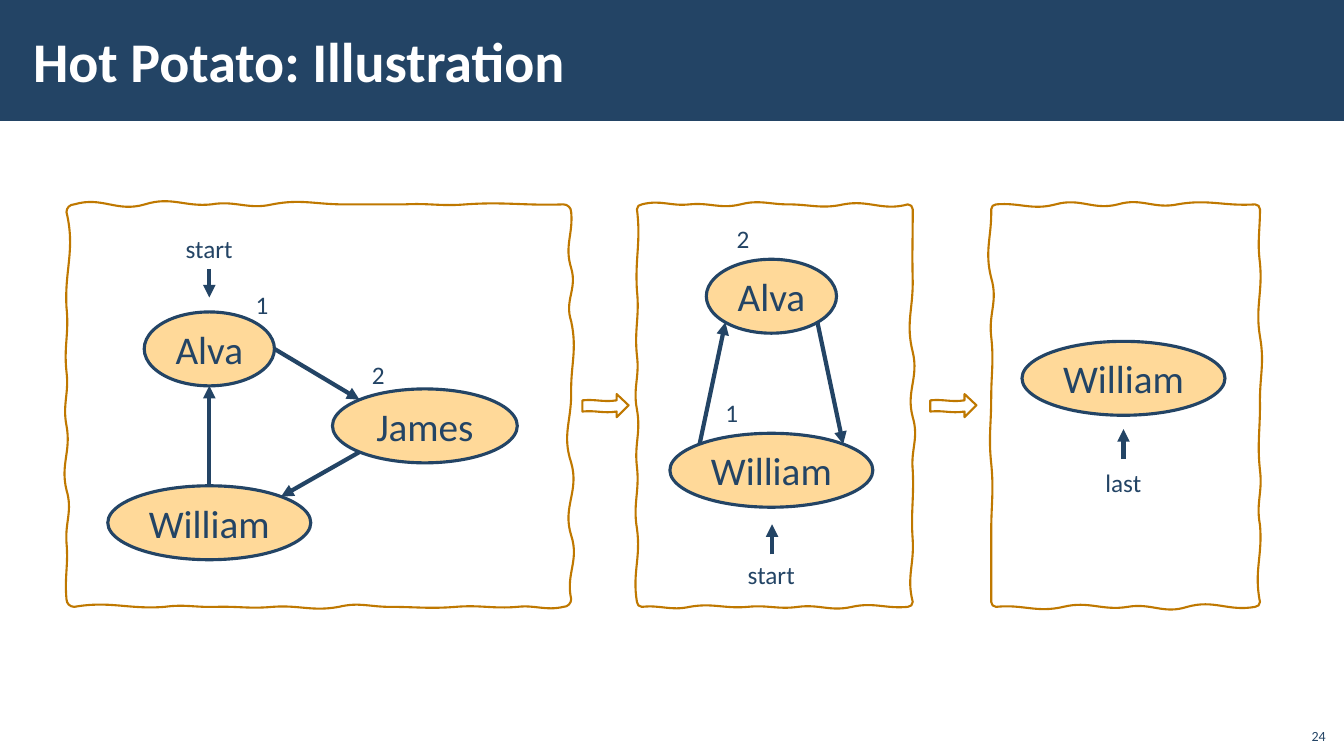
from dataclasses import dataclass
from math import cos, radians, sin

from lxml.etree import Element, SubElement
from pptx import Presentation
from pptx.dml.color import RGBColor
from pptx.enum.shapes import MSO_CONNECTOR, MSO_SHAPE
from pptx.enum.text import MSO_ANCHOR, MSO_AUTO_SIZE, PP_ALIGN
from pptx.oxml.ns import qn
from pptx.slide import Slide
from pptx.util import Pt

COLORS = {"navy": "234465", "sand": "FFD999", "ochre": "BF7800", "white": "FFFFFF"}
FONT = "Calibri"
NODE_HEIGHT = 52.8

Point = tuple[float, float]
Wave = tuple[float, float, float]  # where it ends, first bend, second bend
Segment = tuple[Point, ...]  # control points, if curved, and the end


@dataclass
class Node:
    name: str
    left: float
    top: float
    width: float

    def site(self, angle: float) -> Point:
        """Point on the ellipse, with the angle clockwise from the right."""
        a = radians(angle)
        return (self.left + self.width / 2 * (1 + cos(a)),
                self.top + NODE_HEIGHT / 2 * (1 + sin(a)))


@dataclass
class Label:
    text: str
    left: float
    top: float
    width: float


@dataclass
class Panel:
    left: float
    right: float
    corner: float
    top_waves: list[Wave]
    right_waves: list[Wave]
    bottom_waves: list[Wave]
    left_waves: list[Wave]
    top: float = 146
    bottom: float = 433.5


PANELS = [
    Panel(47.5, 408, 5.5,
          [(103.5, -6, 6), (151, -6, 2), (194.5, -3, 4), (245.5, -4, 0),
           (289, 0, 0), (332.5, -1, 1.5), (402.5, -2, 1)],
          [(191.5, 1.5, -5), (229.5, 4.5, -5), (281.5, 4.5, -0.5),
           (330.5, 0, -6.5), (382.5, 6, -6.5), (428, 6, -4)],
          [(369.5, 3, -1.5), (325.5, 1.5, -1.5), (278.5, 1.5, 0), (242, 0, -3.5),
           (194.5, 3.5, -1.5), (154, 1.5, -0.5), (117.5, 0.5, -2), (53, 2, -4.5)],
          [(387.5, -1.5, 1.5), (350, -1, 4.5), (304, -4.5, 3.5),
           (265.5, -3, 2), (219.5, -2, 2), (151.5, -1.5, 6.5)]),
    Panel(455, 652, 3.5,
          [(492.5, -3.5, 1.5), (529, -1.5, 3.5), (563, -3.5, 0),
           (602.5, 0, 3.5), (648.5, -3.5, 5)],
          [(201.5, 0, -0.5), (251.5, 0, -5), (298, 4.5, -5),
           (336, 4.5, -1.5), (386, 1, -1.5), (430, 1, -4.5)],
          [(608.5, 1.5, -3.5), (570, 3.5, -2), (534, 2, -1.5),
           (492.5, 1.5, -3), (458.5, 3, -1.5)],
          [(377.5, -3.5, 3), (333.5, -3, 2), (292.5, -2, 3),
           (254, -3, 2), (207.5, -2, 2), (149.5, -1.5, 3)]),
    Panel(708, 900, 3.5,
          [(754, -1.5, 4.5), (798.5, -5, 4.5), (841, -5, 3.5), (896.5, -4, 1.5)],
          [(188, 0, -2), (240.5, 2, -3.5), (289.5, 3.5, -0.5),
           (336, 0, -2), (375, 2, -3), (430, 2, -4.5)],
          [(848, 3.5, -5.5), (805.5, 5.5, -3), (759.5, 3, -4.5), (711.5, 4.5, -2)],
          [(380, 0, 0), (331, 0, 2), (284.5, -2, 0),
           (240.5, 0, 2), (198.5, -2, 5), (149.5, -5, 0.5)]),
]

ALVA = Node("Alva", 103, 222.8, 93)
JAMES = Node("James", 237.5, 277.8, 132)
WILLIAM = Node("William", 77, 347, 145)
ALVA_2 = Node("Alva", 504.5, 185.2, 93)
WILLIAM_2 = Node("William", 478.5, 309.5, 145)
WILLIAM_3 = Node("William", 730, 243.8, 145)
NODES = [ALVA, JAMES, WILLIAM, ALVA_2, WILLIAM_2, WILLIAM_3]

ARROWS = [
    (ALVA.site(0), JAMES.site(225)),
    (JAMES.site(135), WILLIAM.site(315)),
    (WILLIAM.site(270), ALVA.site(90)),
    (WILLIAM_2.site(225), ALVA_2.site(135)),
    (ALVA_2.site(45), WILLIAM_2.site(315)),
    ((149.5, 192), (149.5, 212.5)),
    ((551.5, 396), (551.5, 374.5)),
    ((802.5, 328), (802.5, 306.5)),
]

LABELS = [
    Label("start", 125.5, 163, 48), Label("1", 175.5, 203, 22), Label("2", 258.5, 253, 24),
    Label("start", 527, 396, 48), Label("2", 519, 156, 24), Label("1", 511, 280, 24),
    Label("last", 782.5, 330.5, 40),
]


def wavy_edge(start: Point, waves: list[Wave], vertical: bool) -> list[Segment]:
    def place(along: float, across: float) -> Point:
        return (across, along) if vertical else (along, across)

    along, across = place(*start)
    segments = []
    for end, bend1, bend2 in waves:
        span = end - along
        segments.append((place(along + 0.4 * span, across + bend1),
                         place(along + 0.6 * span, across + bend2), place(end, across)))
        along = end
    return segments


def round_corner(start: Point, corner: Point, end: Point) -> Segment:
    def toward(p: Point) -> Point:
        return (p[0] + 0.55 * (corner[0] - p[0]), p[1] + 0.55 * (corner[1] - p[1]))

    return toward(start), toward(end), end


def draw_outline(s: Slide, start: Point, segments: list[Segment]) -> None:
    """Draw a closed outline; segments with control points become Bezier curves."""
    builder = s.shapes.build_freeform(*map(Pt, start))
    builder.add_line_segments([tuple(map(Pt, seg[-1])) for seg in segments], close=True)
    sp = builder.convert_to_shape()
    for step, seg in zip(list(sp.element.iter(qn("a:lnTo"))), segments):
        if len(seg) == 1:
            continue
        bezier = Element(qn("a:cubicBezTo"))
        for x, y in seg:
            SubElement(bezier, qn("a:pt"), x=str(Pt(x) - sp.left), y=str(Pt(y) - sp.top))
        step.getparent().replace(step, bezier)
    sp.shadow.inherit = False
    sp.fill.background()
    sp.line.color.rgb = RGBColor.from_string(COLORS["ochre"])
    sp.line.width = Pt(1.5)


def draw_panel(s: Slide, panel: Panel) -> None:
    l, t, r, b, c = panel.left, panel.top, panel.right, panel.bottom, panel.corner
    starts = [(l + c, t), (r, t + c), (r - c, b), (l, b - c)]
    waves = [panel.top_waves, panel.right_waves, panel.bottom_waves, panel.left_waves]
    corners = [(r, t), (r, b), (l, b), (l, t)]
    segments = []
    for i, corner in enumerate(corners):
        segments += wavy_edge(starts[i], waves[i], vertical=i % 2 == 1)
        segments.append(round_corner(segments[-1][-1], corner, starts[(i + 1) % 4]))
    draw_outline(s, starts[0], segments)


def draw_block_arrow(s: Slide, x: float, y: float) -> None:
    neck = x + 24.5
    segments = wavy_edge((x, y + 4.5), [(neck, -1, 1.5)], False)
    segments += [((neck, y),), ((x + 33, y + 8),), ((neck, y + 16.5),), ((neck, y + 12.5),)]
    segments += wavy_edge((neck, y + 12.5), [(x, 1.5, -1)], False)
    draw_outline(s, (x, y + 4.5), segments)


def write(sp, text: str, size: float, color: str = "navy", bold: bool = False,
          align: PP_ALIGN = PP_ALIGN.LEFT, anchor: MSO_ANCHOR = MSO_ANCHOR.TOP) -> None:
    tf = sp.text_frame
    tf.text, tf.word_wrap, tf.vertical_anchor = text, False, anchor
    p = tf.paragraphs[0]
    p.alignment = align
    p.font.name, p.font.size, p.font.bold = FONT, Pt(size), bold
    p.font.color.rgb = RGBColor.from_string(COLORS[color])


def draw_node(s: Slide, node: Node) -> None:
    sp = s.shapes.add_shape(MSO_SHAPE.OVAL, Pt(node.left), Pt(node.top),
                            Pt(node.width), Pt(NODE_HEIGHT))
    sp.shadow.inherit = False
    sp.fill.solid()
    sp.fill.fore_color.rgb = RGBColor.from_string(COLORS["sand"])
    sp.line.color.rgb = RGBColor.from_string(COLORS["navy"])
    sp.line.width = Pt(2.25)
    write(sp, node.name, 28, align=PP_ALIGN.CENTER, anchor=MSO_ANCHOR.MIDDLE)


def draw_arrow(s: Slide, start: Point, end: Point) -> None:
    line = s.shapes.add_connector(MSO_CONNECTOR.STRAIGHT, *map(Pt, start + end))
    line.line.color.rgb = RGBColor.from_string(COLORS["navy"])
    line.line.width = Pt(3)
    properties = line.element.spPr
    SubElement(properties.find(qn("a:ln")), qn("a:tailEnd"), type="triangle")
    SubElement(properties, qn("a:effectLst"))


def draw_title(s: Slide, text: str) -> None:
    title = s.shapes.title
    title.left, title.top, title.width, title.height = Pt(15), Pt(8), Pt(765), Pt(70)
    write(title, text, 40, "white", True, anchor=MSO_ANCHOR.MIDDLE)
    tf = title.text_frame
    tf.word_wrap = True
    tf.margin_left = tf.margin_right = Pt(8.64)
    tf.margin_top = tf.margin_bottom = Pt(3)
    band = s.shapes.add_shape(MSO_SHAPE.RECTANGLE, 0, 0, Pt(960), Pt(86.4))
    band.shadow.inherit = False
    band.fill.solid()
    band.fill.fore_color.rgb = RGBColor.from_string(COLORS["navy"])
    band.line.fill.background()
    title.element.addprevious(band.element)


def main() -> None:
    prs = Presentation()
    prs.slide_width, prs.slide_height = Pt(960), Pt(540)
    s = prs.slides.add_slide(prs.slide_layouts[5])
    draw_title(s, "Hot Potato: Illustration")
    for panel in PANELS:
        draw_panel(s, panel)
    for x in (416, 664.5):
        draw_block_arrow(s, x, 281.5)
    for node in NODES:
        draw_node(s, node)
    for start, end in ARROWS:
        draw_arrow(s, start, end)
    for label in LABELS:
        sp = s.shapes.add_textbox(Pt(label.left), Pt(label.top), Pt(label.width), Pt(29))
        write(sp, label.text, 18)
        sp.text_frame.auto_size = MSO_AUTO_SIZE.SHAPE_TO_FIT_TEXT
    number = s.shapes.add_textbox(Pt(925), Pt(512.5), Pt(29), Pt(23))
    write(number, "24", 10, align=PP_ALIGN.RIGHT, anchor=MSO_ANCHOR.BOTTOM)
    prs.save("out.pptx")


if __name__ == "__main__":
    main()
